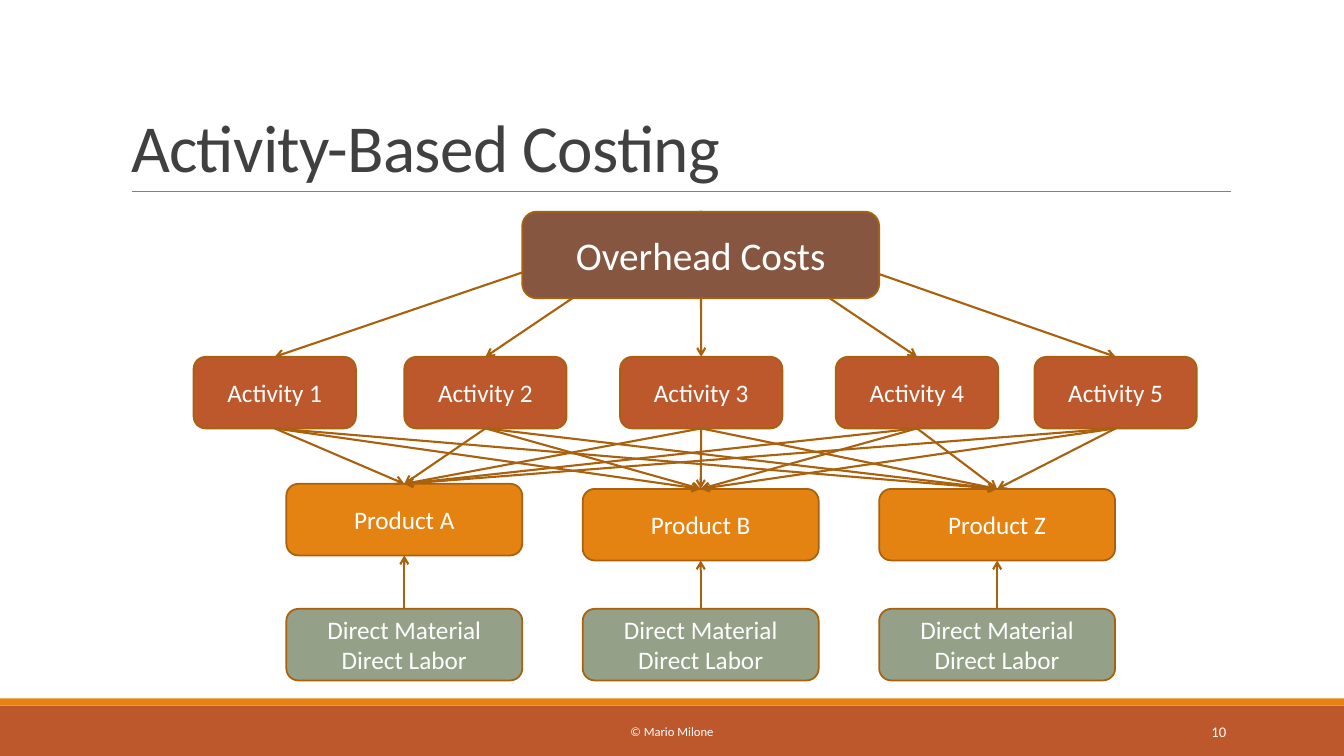
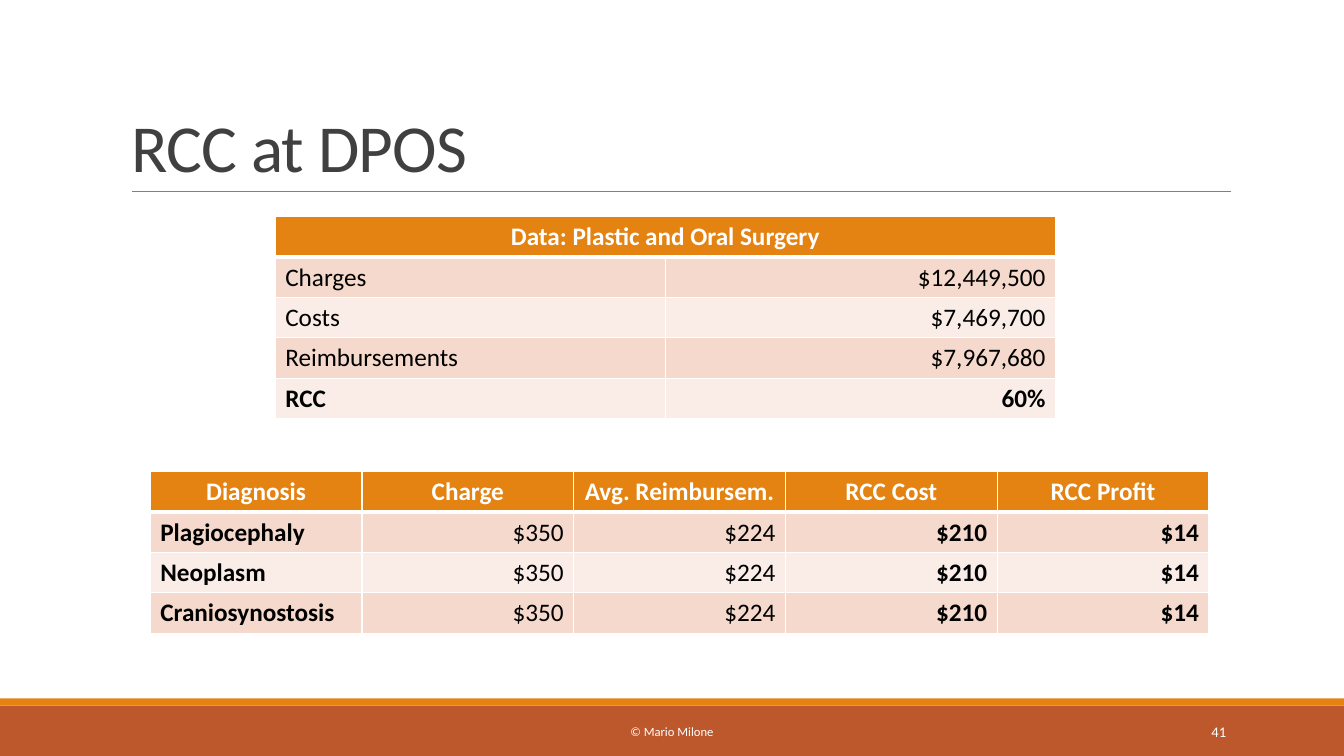
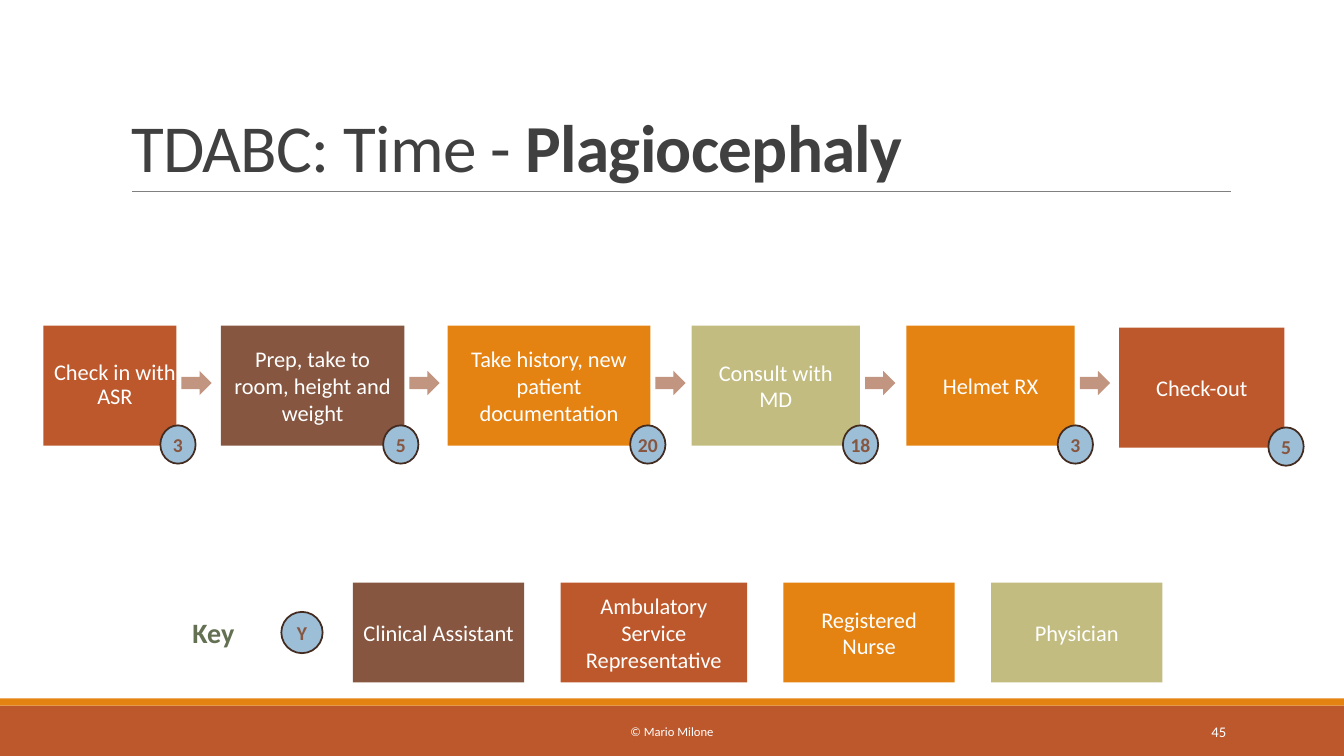
from dataclasses import dataclass
from typing import Any, Sequence

from lxml.etree import SubElement
from pptx import Presentation
from pptx.dml.color import RGBColor
from pptx.enum.shapes import MSO_CONNECTOR, MSO_SHAPE
from pptx.enum.text import MSO_ANCHOR, MSO_AUTO_SIZE, PP_ALIGN
from pptx.oxml.ns import qn
from pptx.util import Inches, Pt


# Theme: colours and type sizes
def rgb(code: str) -> RGBColor:
    return RGBColor.from_string(code)


@dataclass(frozen=True)
class Theme:
    face: str = "Calibri"
    white: RGBColor = rgb("FFFFFF")
    black: RGBColor = rgb("000000")
    ink: RGBColor = rgb("404040")
    gray: RGBColor = rgb("808080")
    rust: RGBColor = rgb("BD582C")
    orange: RGBColor = rgb("E48312")
    brown: RGBColor = rgb("865640")
    sage: RGBColor = rgb("94A088")
    moss: RGBColor = rgb("637052")
    sand: RGBColor = rgb("C2BC80")
    tan: RGBColor = rgb("C29580")
    edge: RGBColor = rgb("A9610D")
    sky: RGBColor = rgb("9DBED7")
    dark: RGBColor = rgb("432B20")
    rose: RGBColor = rgb("F5D9CC")
    blush: RGBColor = rgb("FAEDE7")
    title: float = 48
    head: float = 28
    key: float = 20
    body: float = 18
    step: float = 16
    badge: float = 14
    page: float = 10.5
    foot: float = 9


T = Theme()


@dataclass(frozen=True)
class Box:
    x: float
    y: float
    w: float
    h: float

    def spots(self) -> tuple:
        return tuple(Inches(v) for v in (self.x, self.y, self.w, self.h))


@dataclass(frozen=True)
class Step:
    text: str
    x: float
    w: float
    fill: RGBColor
    time: str
    badge: float
    drop: float = 0


@dataclass(frozen=True)
class Role:
    text: str
    w: float
    fill: RGBColor


@dataclass(frozen=True)
class Grid:
    x: float
    y: float
    col: float
    rows: Sequence[Sequence[str]]
    bold: Sequence[tuple[int, int]]


# Drawing helpers
def style(frame: Any, size: float, color: RGBColor, bold: bool = False,
          align: Any = PP_ALIGN.CENTER) -> None:
    for para in frame.paragraphs:
        para.alignment = align
        for run in para.runs:
            font = run.font
            font.name, font.size, font.bold = T.face, Pt(size), bold
            font.color.rgb = color


def shape(slide: Any, kind: Any, box: Box, fill: RGBColor,
          line: RGBColor | None = None) -> Any:
    item = slide.shapes.add_shape(kind, *box.spots())
    item.shadow.inherit = False
    item.fill.solid()
    item.fill.fore_color.rgb = fill
    if line is None:
        item.line.fill.background()
    else:
        item.line.color.rgb = line
        item.line.width = Pt(1.25)
    return item


def block(slide: Any, kind: Any, box: Box, text: str, fill: RGBColor,
          size: float, line: RGBColor | None = None) -> Any:
    item = shape(slide, kind, box, fill, line)
    item.text_frame.text = text
    style(item.text_frame, size, T.white)
    return item


def label(slide: Any, box: Box, text: str, size: float, color: RGBColor,
          bold: bool = False, align: Any = PP_ALIGN.CENTER) -> None:
    frame = slide.shapes.add_textbox(*box.spots()).text_frame
    frame.word_wrap = True
    frame.vertical_anchor = MSO_ANCHOR.MIDDLE
    frame.text = text
    style(frame, size, color, bold, align)


def badge(slide: Any, box: Box, text: str) -> None:
    item = shape(slide, MSO_SHAPE.OVAL, box, T.sky, T.dark)
    frame = item.text_frame
    frame.margin_left = frame.margin_right = 0
    frame.text = text
    style(frame, T.badge, T.brown, True)


def rule(slide: Any, ends: Sequence[float], color: RGBColor,
         width: float) -> Any:
    item = slide.shapes.add_connector(
        MSO_CONNECTOR.STRAIGHT, *(Inches(v) for v in ends))
    item.line.color.rgb = color
    item.line.width = Pt(width)
    SubElement(item.element.find(qn("p:spPr")), qn("a:effectLst"))
    return item


def link(slide: Any, start: Any, out: int, end: Any, into: int) -> None:
    item = rule(slide, (0, 0, 0, 0), T.edge, 1.5)
    line = next(item.element.iter(qn("a:ln")))
    SubElement(line, qn("a:tailEnd"), type="arrow")
    item.begin_connect(start, out)
    item.end_connect(end, into)


# Shared parts: bands and title rule on the master
def dress(deck: Any, slide: Any) -> None:
    parts = [
        shape(slide, MSO_SHAPE.RECTANGLE, Box(0, 7, 13.33, 0.5), T.rust),
        shape(slide, MSO_SHAPE.RECTANGLE, Box(0, 6.93, 13.33, 0.07), T.orange),
        rule(slide, (1.31, 1.9, 12.21, 1.9), T.gray, 0.5),
    ]
    for mark, part in enumerate(parts, 101):
        next(part.element.iter(qn("p:cNvPr"))).set("id", str(mark))
        deck.slide_master.shapes.element.append(part.element)


# Title and footer of one slide
def start(deck: Any, form: int, text: str, page: str, strong: str = "") -> Any:
    slide = deck.slides.add_slide(deck.slide_layouts[form])
    title = slide.shapes.title
    title.left, title.top, title.width, title.height = Box(
        1.2, 0.31, 11, 1.59).spots()
    frame = title.text_frame
    frame.auto_size = MSO_AUTO_SIZE.NONE
    frame.vertical_anchor = MSO_ANCHOR.BOTTOM
    frame.text = text
    para = frame.paragraphs[0]
    para.line_spacing = 0.85
    if strong:
        para.add_run().text = strong
    style(frame, T.title, T.ink, align=PP_ALIGN.LEFT)
    if strong:
        para.runs[-1].font.bold = True
    for props in title.element.iter(qn("a:rPr")):
        props.set("spc", "-50")
    label(slide, Box(4.03, 7.06, 5.27, 0.4), "© Mario Milone", T.foot, T.white)
    label(slide, Box(10.83, 7.06, 1.43, 0.4), page, T.page, T.white,
          align=PP_ALIGN.RIGHT)
    return slide


# Slide 1: cost flow
def flow(slide: Any) -> None:
    def card(box: Box, text: str, fill: RGBColor, size: float = T.body) -> Any:
        return block(slide, MSO_SHAPE.FLOWCHART_ALTERNATE_PROCESS, box, text,
                     fill, size, T.edge)

    top = card(Box(5.18, 2.1, 3.54, 0.86), "Overhead Costs", T.brown, T.head)
    acts = [card(Box(x, 3.54, 1.61, 0.71), f"Activity {n}", T.rust)
            for n, x in enumerate((1.92, 4.01, 6.15, 8.29, 10.26), 1)]
    goods = []
    for n, (name, y) in enumerate(zip("ABZ", (4.8, 4.85, 4.85))):
        x = 2.84 + 2.94 * n
        good = card(Box(x, y, 2.34, 0.71), f"Product {name}", T.orange)
        cost = card(Box(x, 6.04, 2.34, 0.71),
                    "Direct Material\nDirect Labor", T.sage)
        link(slide, cost, 0, good, 2)
        goods.append(good)
    for act in acts:
        link(slide, top, 0, act, 0)
        for good in goods:
            link(slide, act, 2, good, 0)
    # The top card covers the starts of its arrows
    slide.shapes.element.append(top.element)


# Slide 2: tables
def table(slide: Any, grid: Grid) -> Any:
    rows, cols = len(grid.rows), len(grid.rows[0])
    box = Box(grid.x, grid.y, grid.col * cols, 0.4 * rows)
    item = slide.shapes.add_table(rows, cols, *box.spots())
    for r, row in enumerate(grid.rows):
        for c, text in enumerate(row):
            cell = item.table.cell(r, c)
            cell.fill.solid()
            cell.fill.fore_color.rgb = (
                T.orange if r == 0 else T.rose if r % 2 else T.blush)
            cell.text_frame.text = text
            align = (PP_ALIGN.CENTER if r == 0 else
                     PP_ALIGN.RIGHT if c else PP_ALIGN.LEFT)
            style(cell.text_frame, T.body, T.black if r else T.white,
                  r == 0 or (r, c) in grid.bold, align)
    for r, row in enumerate(item.element.iter(qn("a:tr"))):
        for props in row.iter(qn("a:tcPr")):
            border(props, r)
    return item.table


def border(props: Any, row: int) -> None:
    for place, side in enumerate("LRTB"):
        thick = (row, side) in ((0, "B"), (1, "T"))
        line = SubElement(props, qn(f"a:ln{side}"), w=str(Pt(3 if thick else 1)))
        fill = SubElement(line, qn("a:solidFill"))
        SubElement(fill, qn("a:srgbClr"), val=str(T.white))
        props.insert(place, line)


def sums(slide: Any) -> None:
    data = table(slide, Grid(2.73, 2.15, 3.87, (
        ("Data: Plastic and Oral Surgery", ""),
        ("Charges", "$12,449,500"),
        ("Costs", "$7,469,700"),
        ("Reimbursements", "$7,967,680"),
        ("RCC", "60%"),
    ), ((4, 0), (4, 1))))
    data.cell(0, 0).merge(data.cell(0, 1))
    cases = ("Plagiocephaly", "Neoplasm", "Craniosynostosis")
    table(slide, Grid(1.49, 4.68, 2.1, (
        ("Diagnosis", "Charge", "Avg. Reimbursem.", "RCC Cost", "RCC Profit"),
        *((case, "$350", "$224", "$210", "$14") for case in cases),
    ), [(r, c) for r in (1, 2, 3) for c in (0, 3, 4)]))


# Slide 3: timed steps and key
STEPS = (
    Step("Check in with ASR", 0.43, 1.32, T.rust, "3", 1.59),
    Step("Prep, take to room, height and weight", 2.19, 1.82, T.brown, "5", 3.8),
    Step("Take history, new patient documentation", 4.44, 2.01, T.orange,
         "20", 6.25),
    Step("Consult with\vMD", 6.86, 1.67, T.sand, "18", 8.36),
    Step("Helmet RX", 8.99, 1.67, T.orange, "3", 10.49),
    Step("Check-out", 11.1, 1.64, T.rust, "5", 12.58, 0.02),
)
ROLES = (
    Role("Clinical Assistant", 1.7, T.brown),
    Role("Ambulatory Service Representative", 1.85, T.rust),
    Role("Registered Nurse", 1.7, T.orange),
    Role("Physician", 1.7, T.sand),
)


def first(slide: Any, box: Box, step: Step) -> None:
    item = slide.placeholders[1]
    item.left, item.top, item.width, item.height = box.spots()
    item.fill.solid()
    item.fill.fore_color.rgb = step.fill
    frame = item.text_frame
    frame.auto_size = MSO_AUTO_SIZE.NONE
    frame.vertical_anchor = MSO_ANCHOR.MIDDLE
    frame.margin_left = frame.margin_right = 0
    frame.text = step.text
    para = frame.paragraphs[0]
    para.line_spacing = 0.9
    para.space_before = Pt(0)
    style(frame, T.step, T.white)
    props = next(item.element.iter(qn("a:pPr")))
    props.set("marL", str(Inches(0.1)))
    props.set("indent", "0")
    SubElement(props, qn("a:buNone"))


def times(slide: Any) -> None:
    for n, step in enumerate(STEPS):
        box = Box(step.x, 3.23 + step.drop, step.w, 1.19)
        if n == 0:
            first(slide, box, step)
        else:
            block(slide, MSO_SHAPE.RECTANGLE, box, step.text, step.fill, T.step)
        if step is not STEPS[-1]:
            shape(slide, MSO_SHAPE.RIGHT_ARROW,
                  Box(step.x + step.w + 0.05, 3.68, 0.3, 0.24), T.tan)
        badge(slide, Box(step.badge, 4.22 + step.drop, 0.35, 0.38), step.time)

    label(slide, Box(1.74, 6.09, 0.75, 0.37), "Key", T.key, T.moss, True)
    badge(slide, Box(2.79, 6.07, 0.41, 0.41), "Y")
    x = 3.5
    for role in ROLES:
        block(slide, MSO_SHAPE.RECTANGLE, Box(x, 5.78, role.w, 0.99),
              role.text, role.fill, T.step)
        x += role.w + 0.36


def main() -> None:
    deck = Presentation()
    deck.slide_width, deck.slide_height = Inches(13.33), Inches(7.5)
    slide = start(deck, 5, "Activity-Based Costing", "10")
    dress(deck, slide)
    flow(slide)
    sums(start(deck, 5, "RCC at DPOS", "41"))
    times(start(deck, 1, "TDABC: Time - ", "45", "Plagiocephaly"))
    deck.save("out.pptx")


if __name__ == "__main__":
    main()
